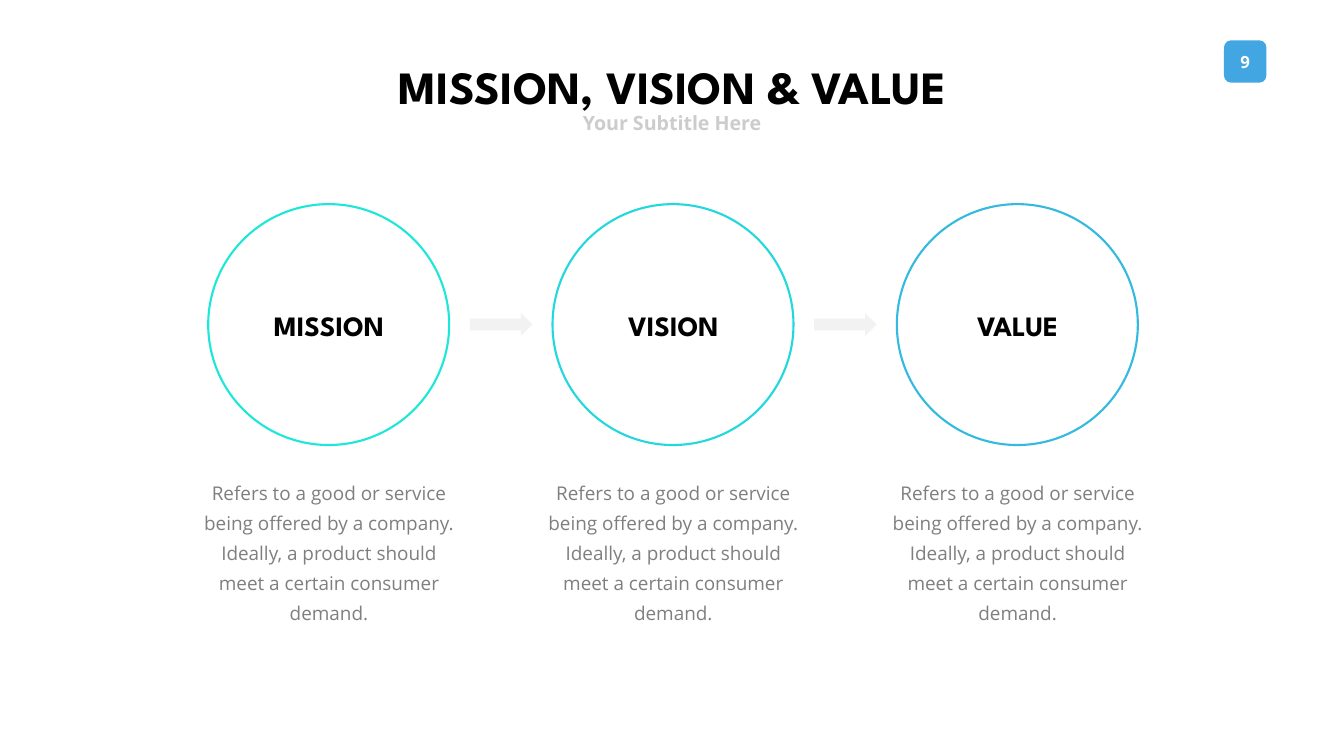
from pptx import Presentation
from pptx.dml.color import RGBColor
from pptx.enum.shapes import MSO_SHAPE as Shape
from pptx.enum.text import MSO_ANCHOR as Anchor, PP_ALIGN as Align
from pptx.util import Pt

TITLE = "MISSION, VISION & VALUE"
SUBTITLE = "Your Subtitle Here"
PAGE_NUMBER = "9"
STEPS = [("MISSION", "1DE7D8"), ("VISION", "23D8DC"), ("VALUE", "34B9DF")]
DESCRIPTION = ("Refers to a good or service being offered by a company. "
               "Ideally, a product should meet a certain consumer demand.")

HEADING_FONT, BODY_FONT = "League Spartan", "Open Sans"
EMU_PER_PX = 9144
PAGE_WIDTH, PAGE_HEIGHT = 2666, 1500
CIRCLE, CIRCLE_TOP = 478, 405
FIRST_CENTER, STEP_PITCH = 652, 683
LABEL_WIDTH, LABEL_HEIGHT = 279, 77
TEXT_WIDTH, TEXT_HEIGHT, TEXT_TOP = 559, 326, 929
ARROW_WIDTH, ARROW_HEIGHT = 124, 46


def px(*lengths):
    """Turn pixel lengths into EMU."""
    return [length * EMU_PER_PX for length in lengths]


def color(code):
    """Turn a hex string into a colour."""
    return RGBColor.from_string(code)


def write(box, text, size, font, code, bold=True, wrap=False,
          anchor=Anchor.MIDDLE, spacing=None):
    """Put one centred, formatted paragraph in a box."""
    frame = box.text_frame
    frame.text = text
    frame.word_wrap = wrap
    frame.vertical_anchor = anchor
    para = frame.paragraphs[0]
    para.alignment = Align.CENTER
    if spacing:
        para.line_spacing = Pt(spacing)
    span = para.runs[0].font
    span.name, span.size, span.bold = font, Pt(size), bold
    span.color.rgb = color(code)


def add_text(page, place, *content, **style):
    """Add a text box and fill it."""
    box = page.shapes.add_textbox(*px(*place))
    write(box, *content, **style)
    return box


def add_shape(page, kind, place, fill=None, line=None):
    """Add a flat shape with a fill or an outline."""
    shape = page.shapes.add_shape(kind, *px(*place))
    shape.shadow.inherit = False
    if fill:
        shape.fill.solid()
        shape.fill.fore_color.rgb = color(fill)
    else:
        shape.fill.background()
    if line:
        shape.line.color.rgb = color(line)
        shape.line.width = Pt(3)
    else:
        shape.line.fill.background()
    return shape


def add_header(page):
    """Add the page badge, title and subtitle."""
    badge = add_shape(page, Shape.ROUNDED_RECTANGLE, (2428, 80, 84, 84), fill="42A6E3")
    write(badge, PAGE_NUMBER, 24, BODY_FONT, "FFFFFF")
    add_text(page, (683, 81, 1302, 150), TITLE, 66, HEADING_FONT, "000000",
             anchor=Anchor.TOP, spacing=100)
    add_text(page, (1144, 215, 378, 57), SUBTITLE, 28, BODY_FONT, "CCCCCC")


def add_step(page, index, label, outline):
    """Add one circle with its label and description."""
    center = FIRST_CENTER + index * STEP_PITCH
    middle = CIRCLE_TOP + CIRCLE // 2
    add_shape(page, Shape.OVAL, (center - CIRCLE // 2, CIRCLE_TOP, CIRCLE, CIRCLE),
              line=outline)
    add_text(page, (center - LABEL_WIDTH // 2, middle - LABEL_HEIGHT // 2,
                    LABEL_WIDTH, LABEL_HEIGHT), label, 40, HEADING_FONT, "000000")
    box = add_text(page, (center - TEXT_WIDTH // 2, TEXT_TOP, TEXT_WIDTH, TEXT_HEIGHT),
                   DESCRIPTION, 27, BODY_FONT, "7F7F7F", bold=False, wrap=True,
                   anchor=Anchor.TOP, spacing=43)
    frame = box.text_frame
    frame.margin_left = frame.margin_right = px(24)[0]
    frame.margin_top = frame.margin_bottom = px(12)[0]
    if index:
        left = center - (STEP_PITCH + ARROW_WIDTH) // 2
        add_shape(page, Shape.RIGHT_ARROW,
                  (left, middle - ARROW_HEIGHT // 2, ARROW_WIDTH, ARROW_HEIGHT),
                  fill="F2F2F2")


def main():
    """Build and save the slide."""
    deck = Presentation()
    deck.slide_width, deck.slide_height = px(PAGE_WIDTH, PAGE_HEIGHT)
    page = deck.slides.add_slide(deck.slide_layouts[6])
    add_header(page)
    for index, (label, outline) in enumerate(STEPS):
        add_step(page, index, label, outline)
    deck.save("out.pptx")


if __name__ == "__main__":
    main()
